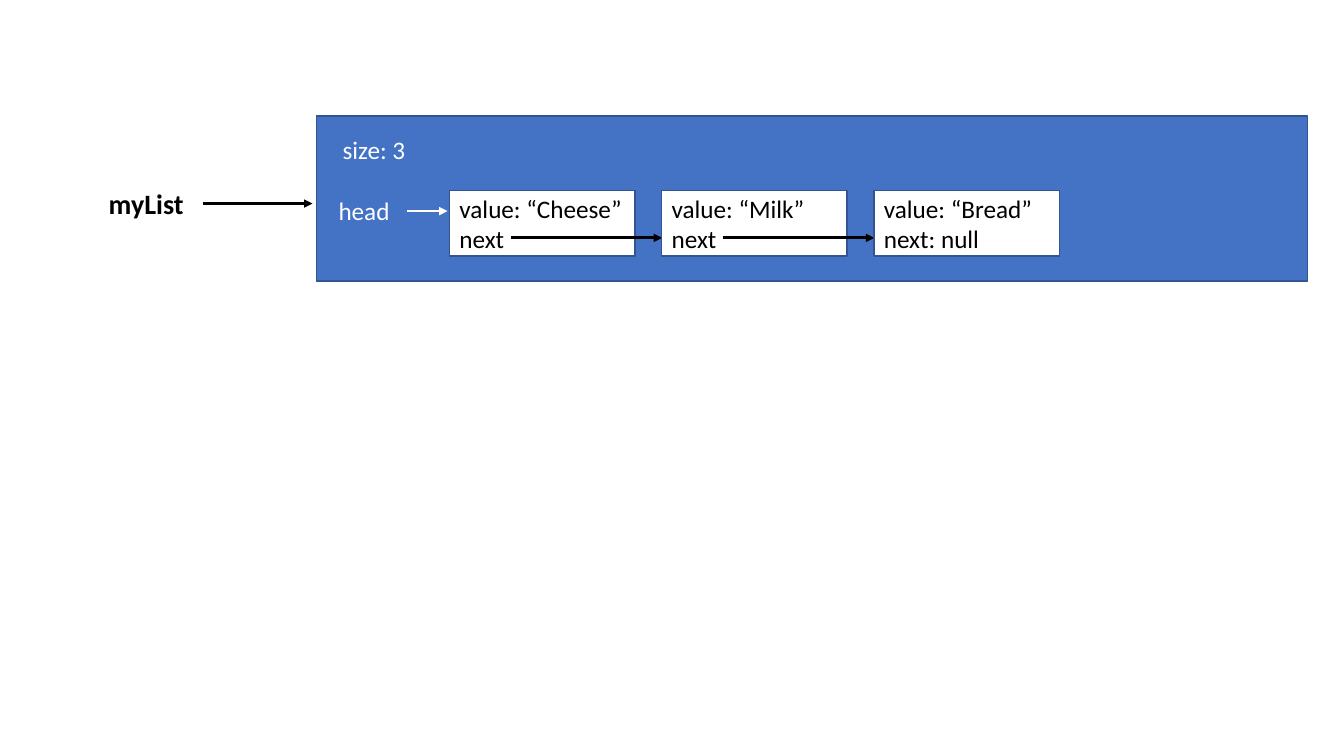
import pptx
import pptx.dml.color
import pptx.enum.shapes
import pptx.enum.text
import pptx.oxml
import pptx.oxml.ns
import pptx.util

Pt = pptx.util.Pt
RGBColor = pptx.dml.color.RGBColor

BLACK = RGBColor(0x00, 0x00, 0x00)
WHITE = RGBColor(0xFF, 0xFF, 0xFF)
BLUE = RGBColor(0x44, 0x72, 0xC4)
OUTLINE = RGBColor(0x32, 0x54, 0x91)


class Diagram:
    font = {"name": "Calibri", "size": Pt(18), "bold": False}

    def __init__(self, slide):
        self.shapes = slide.shapes

    def fill_text(self, frame, lines, color, **changes):
        for index, line in enumerate(lines):
            para = frame.paragraphs[0] if index == 0 else frame.add_paragraph()
            para.alignment = pptx.enum.text.PP_ALIGN.LEFT
            span = para.add_run()
            span.text = line
            for name, value in {**self.font, **changes}.items():
                setattr(span.font, name, value)
            span.font.color.rgb = color

    def label(self, text, left, top, width, height, color, **changes):
        box = self.shapes.add_textbox(Pt(left), Pt(top), Pt(width), Pt(height))
        frame = box.text_frame
        frame.word_wrap = False
        frame.auto_size = pptx.enum.text.MSO_AUTO_SIZE.SHAPE_TO_FIT_TEXT
        self.fill_text(frame, [text], color, **changes)

    def rectangle(self, left, top, width, height, fill, lines=()):
        box = self.shapes.add_shape(
            pptx.enum.shapes.MSO_SHAPE.RECTANGLE,
            Pt(left), Pt(top), Pt(width), Pt(height))
        box.shadow.inherit = False
        box.fill.solid()
        box.fill.fore_color.rgb = fill
        box.line.color.rgb = OUTLINE
        box.line.width = Pt(1)
        box.text_frame.vertical_anchor = pptx.enum.text.MSO_ANCHOR.MIDDLE
        self.fill_text(box.text_frame, lines, BLACK)

    def arrow(self, left, right, height, color):
        connector = self.shapes.add_connector(
            pptx.enum.shapes.MSO_CONNECTOR.STRAIGHT,
            Pt(left), Pt(height), Pt(right), Pt(height))
        connector.line.color.rgb = color
        connector.line.width = Pt(2)
        namespace = pptx.oxml.ns.nsdecls("a")
        outline = connector.element.xpath("./p:spPr/a:ln")[0]
        outline.append(pptx.oxml.parse_xml(f'<a:tailEnd {namespace} type="triangle"/>'))
        outline.getparent().append(pptx.oxml.parse_xml(f"<a:effectLst {namespace}/>"))


deck = pptx.Presentation()
deck.slide_width = Pt(960)
deck.slide_height = Pt(540)
diagram = Diagram(deck.slides.add_slide(deck.slide_layouts[6]))

diagram.label("myList", 70.6, 129.6, 74.2, 31.7, BLACK, size=Pt(20), bold=True)
diagram.rectangle(226.1, 82.8, 707.8, 118.1, BLUE)
diagram.label("size: 3", 237.6, 92.2, 59.8, 28.8, WHITE)
diagram.label("head", 234.7, 136.1, 56.2, 28.8, WHITE)
diagram.arrow(290.9, 319.7, 150.8, WHITE)
diagram.arrow(144.7, 223.2, 145.4, BLACK)

NODE_LEFT, NODE_TOP, NODE_WIDTH, NODE_HEIGHT = 321.1, 136.1, 132.5, 46.8
NODE_STEP = 151.6
NEXT_OFFSET, NEXT_LENGTH, NEXT_HEIGHT = 43.9, 108, 169.9
values = ["Cheese", "Milk", "Bread"]

for index, value in enumerate(values):
    left = NODE_LEFT + index * NODE_STEP
    is_last = index == len(values) - 1
    lines = [f"value: “{value}”", "next: null" if is_last else "next"]
    diagram.rectangle(left, NODE_TOP, NODE_WIDTH, NODE_HEIGHT, WHITE, lines)
    if not is_last:
        start = left + NEXT_OFFSET
        diagram.arrow(start, start + NEXT_LENGTH, NEXT_HEIGHT, BLACK)

deck.save("out.pptx")
